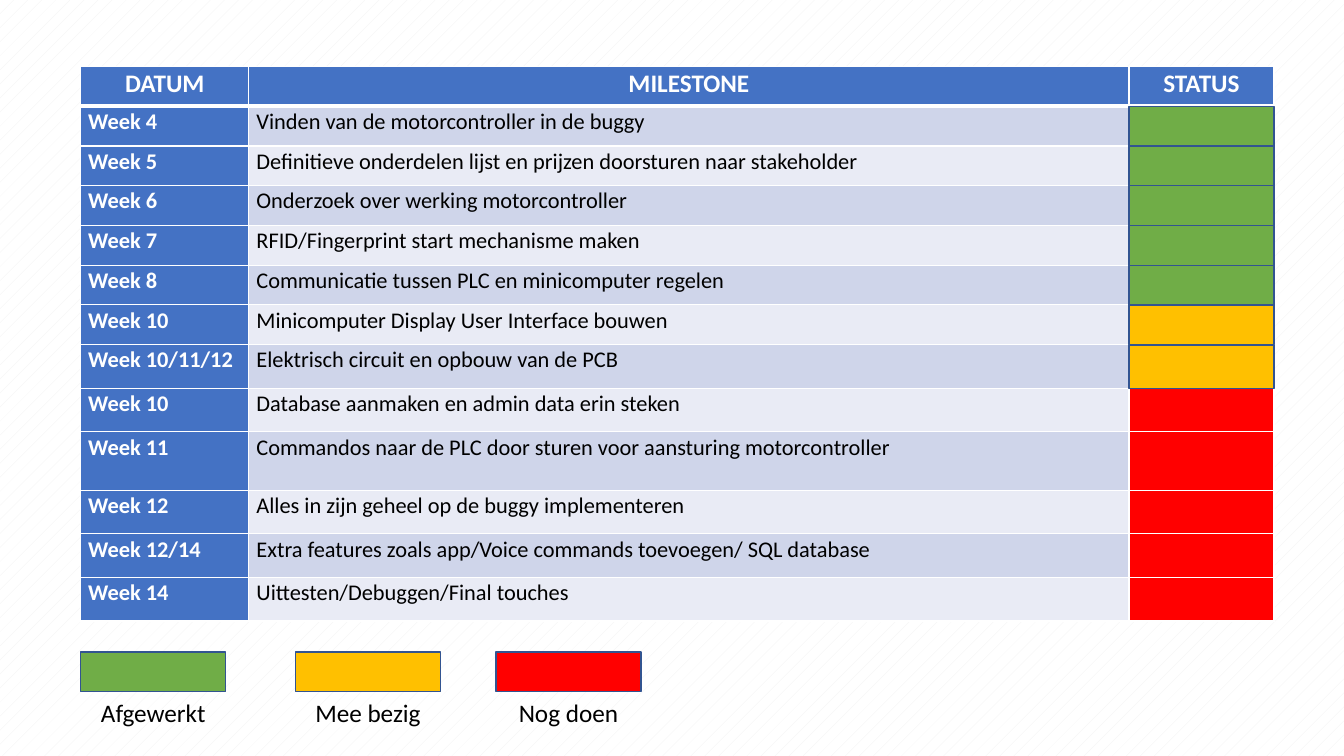
import pptx
import pptx.dml.color
import pptx.enum.dml
import pptx.enum.shapes
import pptx.enum.text
import pptx.oxml
import pptx.oxml.ns
import pptx.util

Pt = pptx.util.Pt

BLUE, WHITE, BLACK = "4472C4", "FFFFFF", "000000"
BANDS = ("CFD5EA", "E9EBF5")
DONE, BUSY, TODO = "70AD47", "FFC000", "FF0000"

TABLE_LEFT, TABLE_TOP = 57.6, 47.5
COLUMN_WIDTHS = (120.2, 628.6, 103.7)
STATUS_LEFT = TABLE_LEFT + sum(COLUMN_WIDTHS[:2])
STATUS_WIDTH = COLUMN_WIDTHS[2]
LOW, MIDDLE, HIGH = 28.4, 31.2, 41.6

HEADINGS = ("DATUM", "MILESTONE", "STATUS")
MILESTONES = [
    ("Week 4", "Vinden van de motorcontroller in de buggy", DONE, LOW),
    ("Week 5", "Definitieve onderdelen lijst en prijzen doorsturen naar stakeholder", DONE, LOW),
    ("Week 6", "Onderzoek over werking motorcontroller", DONE, LOW),
    ("Week 7", "RFID/Fingerprint start mechanisme maken", DONE, LOW),
    ("Week 8", "Communicatie tussen PLC en minicomputer regelen", DONE, LOW),
    ("Week 10", "Minicomputer Display User Interface bouwen", BUSY, LOW),
    ("Week 10/11/12", "Elektrisch circuit en opbouw van de PCB", BUSY, MIDDLE),
    ("Week 10", "Database aanmaken en admin data erin steken", TODO, MIDDLE),
    ("Week 11", "Commandos naar de PLC door sturen voor aansturing motorcontroller", TODO, HIGH),
    ("Week 12", "Alles in zijn geheel op de buggy implementeren", TODO, MIDDLE),
    ("Week 12/14", "Extra features zoals app/Voice commands toevoegen/ SQL database", TODO, MIDDLE),
    ("Week 14", "Uittesten/Debuggen/Final touches", TODO, MIDDLE),
]
LEGEND = [(57.6, DONE, "Afgewerkt"), (211, BUSY, "Mee bezig"), (354.2, TODO, "Nog doen")]
LEGEND_TOP, LEGEND_HEIGHT = 465.8, 28.4


def rgb(hex_colour):
    return pptx.dml.color.RGBColor.from_string(hex_colour)


class Planning:
    font = "Calibri"
    outline = "325491"

    def __init__(self, slide):
        self.slide = slide

    def background(self):
        fill = self.slide.background.fill
        fill.patterned()
        fill.pattern = pptx.enum.dml.MSO_PATTERN.PERCENT_5
        fill.fore_color.rgb = rgb("F2F2F2")
        fill.back_color.rgb = rgb(WHITE)

    def style(self, paragraph, size, colour, bold=False, centred=False):
        if centred:
            paragraph.alignment = pptx.enum.text.PP_ALIGN.CENTER
        for run in paragraph.runs:
            font = run.font
            font.name, font.size, font.bold = self.font, Pt(size), bold
            font.color.rgb = rgb(colour)

    def borders(self, cell, top, bottom):
        """Draw white cell borders; top and bottom are widths in points."""
        properties = cell._tc.get_or_add_tcPr()
        for side, width in (("L", 1), ("R", 1), ("T", top), ("B", bottom)):
            properties.append(pptx.oxml.parse_xml(
                f'<a:ln{side} {pptx.oxml.ns.nsdecls("a")} w="{Pt(width)}"><a:solidFill>'
                f'<a:srgbClr val="{WHITE}"/></a:solidFill></a:ln{side}>'))

    def cell(self, cell, text, fill, row, size=16, colour=WHITE, bold=True):
        cell.margin_left = cell.margin_right = Pt(5.4)
        cell.margin_top = cell.margin_bottom = 0
        self.borders(cell, top=3 if row == 1 else 1, bottom=3 if row == 0 else 1)
        cell.fill.solid()
        cell.fill.fore_color.rgb = rgb(fill)
        if text:
            cell.text_frame.text = text
            paragraph = cell.text_frame.paragraphs[0]
            paragraph.line_spacing = 1.07
            self.style(paragraph, size, colour, bold, centred=row == 0)

    def milestone_table(self):
        heights = [LOW] + [milestone[3] for milestone in MILESTONES]
        table = self.slide.shapes.add_table(
            len(heights), len(COLUMN_WIDTHS), Pt(TABLE_LEFT), Pt(TABLE_TOP),
            Pt(sum(COLUMN_WIDTHS)), Pt(sum(heights))).table
        table.horz_banding = False
        for column, width in zip(table.columns, COLUMN_WIDTHS):
            column.width = Pt(width)
        for row, height in zip(table.rows, heights):
            row.height = Pt(height)
        for column, heading in enumerate(HEADINGS):
            self.cell(table.cell(0, column), heading, BLUE, 0, size=18)
        for row, (week, task, status, _) in enumerate(MILESTONES, start=1):
            self.cell(table.cell(row, 0), week, BLUE, row)
            self.cell(table.cell(row, 1), task, BANDS[(row - 1) % 2], row,
                      colour=BLACK, bold=False)
            self.cell(table.cell(row, 2), "", status, row)

    def swatch(self, left, top, height, colour):
        box = self.slide.shapes.add_shape(
            pptx.enum.shapes.MSO_SHAPE.RECTANGLE,
            Pt(left), Pt(top), Pt(STATUS_WIDTH), Pt(height))
        box.shadow.inherit = False
        box.fill.solid()
        box.fill.fore_color.rgb = rgb(colour)
        box.line.color.rgb = rgb(self.outline)
        box.line.width = Pt(1)

    def label(self, left, top, text):
        frame = self.slide.shapes.add_textbox(
            Pt(left), Pt(top), Pt(90), Pt(29)).text_frame
        frame.word_wrap = False
        frame.auto_size = pptx.enum.text.MSO_AUTO_SIZE.SHAPE_TO_FIT_TEXT
        frame.text = text
        self.style(frame.paragraphs[0], 18, BLACK, centred=True)


def main():
    presentation = pptx.Presentation()
    presentation.slide_width, presentation.slide_height = Pt(960), Pt(540)
    planning = Planning(presentation.slides.add_slide(presentation.slide_layouts[6]))
    planning.background()
    planning.milestone_table()

    top = TABLE_TOP + LOW
    for _, _, status, height in MILESTONES:
        if status != TODO:
            planning.swatch(STATUS_LEFT, top, height, status)
        top += height

    for left, colour, meaning in LEGEND:
        planning.swatch(left, LEGEND_TOP, LEGEND_HEIGHT, colour)
        planning.label(left + (STATUS_WIDTH - 90) / 2, LEGEND_TOP + LEGEND_HEIGHT, meaning)

    presentation.save("out.pptx")


if __name__ == "__main__":
    main()
